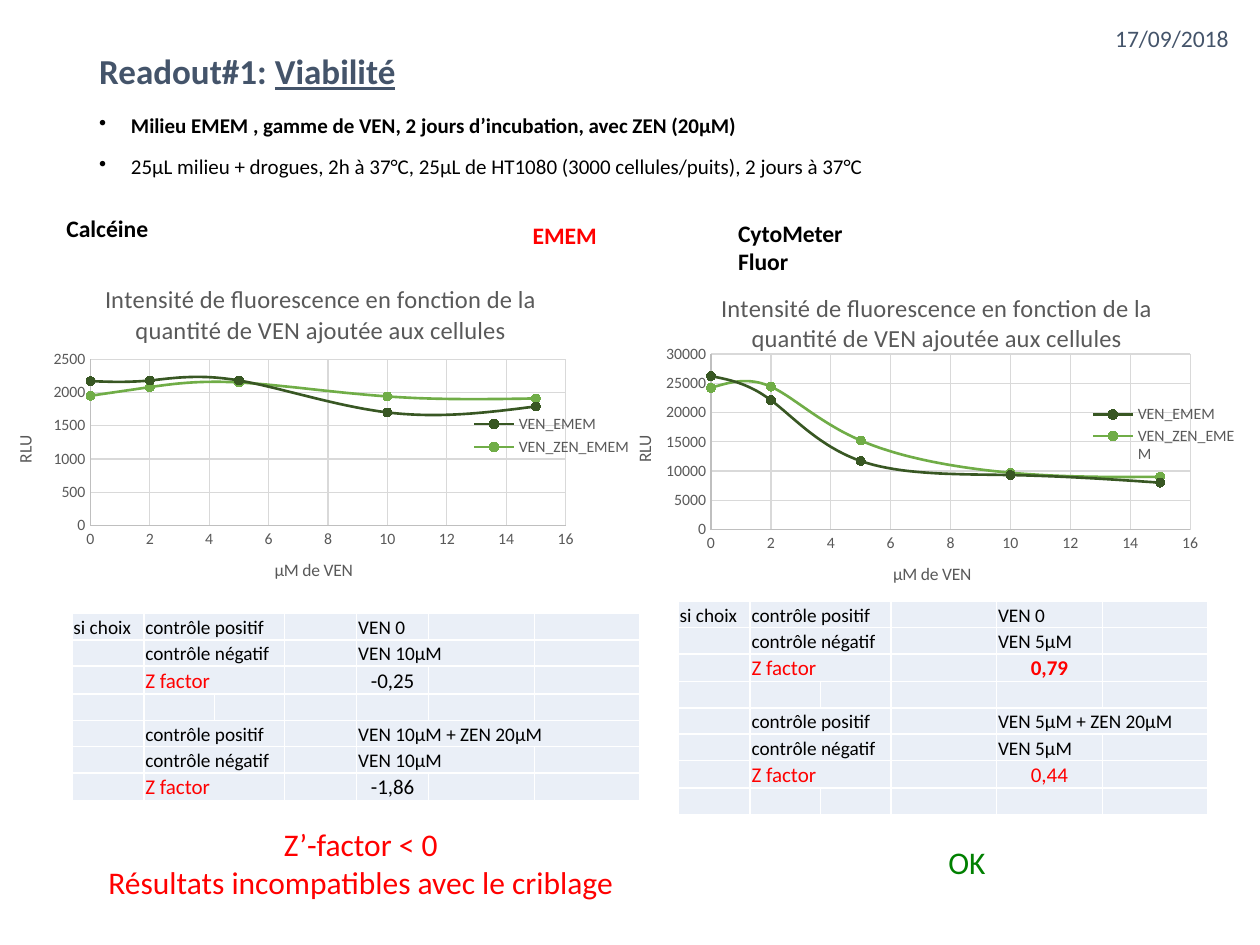
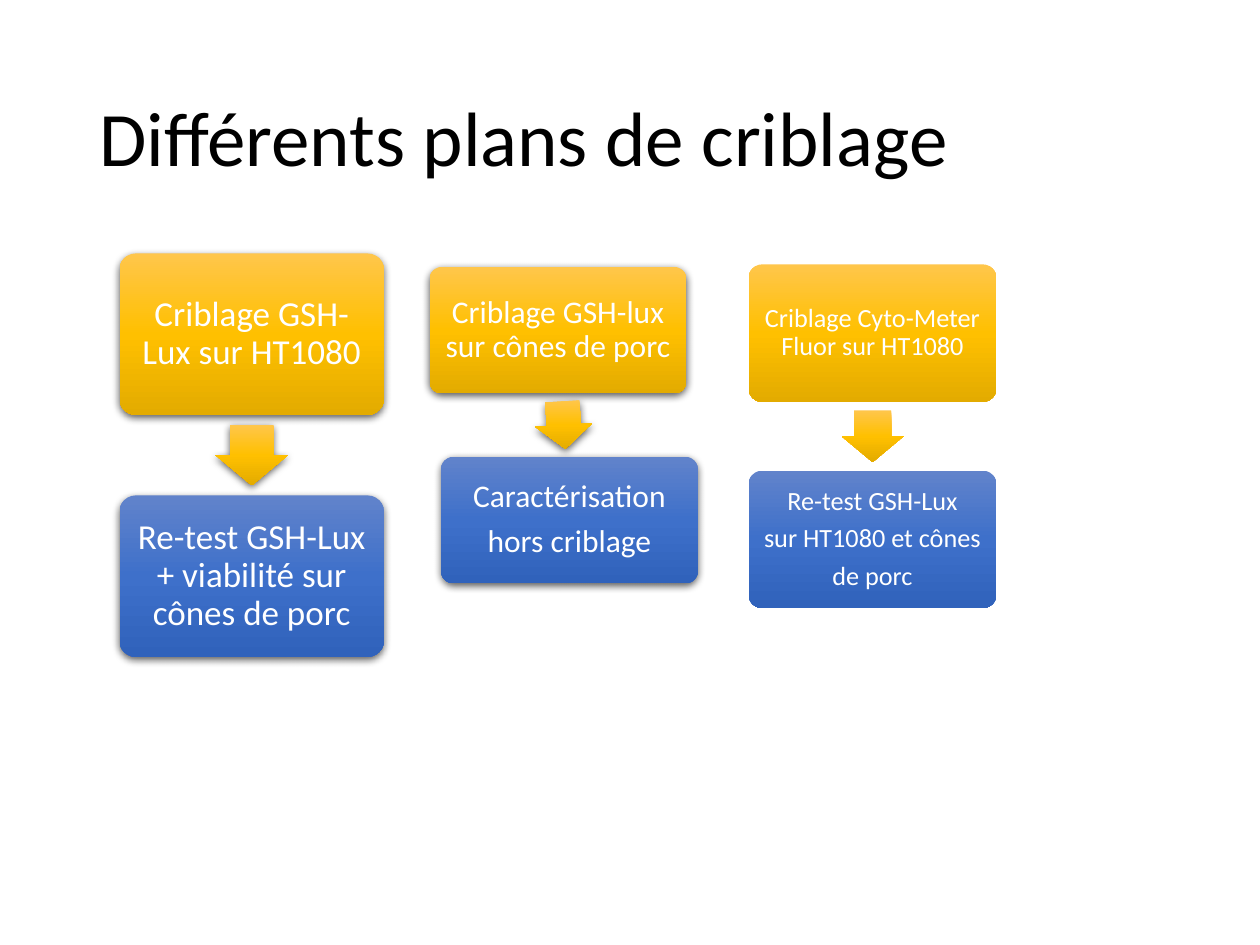
from lxml import etree
from pptx import Presentation
from pptx import util as u
from pptx.chart.data import XyChartData
from pptx.dml.color import RGBColor
from pptx.enum import chart as ch, shapes, text
from pptx.oxml.ns import qn

FONT = "Calibri"
BLACK = RGBColor(0, 0, 0)
WHITE = RGBColor(0xFF, 0xFF, 0xFF)
SLATE = RGBColor(0x44, 0x54, 0x6A)
RED = RGBColor(0xFF, 0, 0)
GREEN = RGBColor(0, 0x80, 0)
GREY = RGBColor(0x59, 0x59, 0x59)
AXIS = RGBColor(0xBF, 0xBF, 0xBF)
GRID = RGBColor(0xD9, 0xD9, 0xD9)
PALE = RGBColor(0xEA, 0xEF, 0xF7)
DARK_LEAF = RGBColor(0x38, 0x57, 0x23)
LEAF = RGBColor(0x70, 0xAD, 0x47)
GOLD = [RGBColor(0xFF, 0xC6, 0x4B), RGBColor(0xFF, 0xC0, 0), RGBColor(0xE3, 0xAB, 0)]
BLUE = [RGBColor(0x61, 0x83, 0xCB), RGBColor(0x3E, 0x70, 0xCA), RGBColor(0x30, 0x62, 0xBB)]

DOSES = [0, 2, 5, 10, 15]
CHART_TITLE = "Intensité de fluorescence en fonction de la quantité de VEN ajoutée aux cellules"
POSITIVE, NEGATIVE, Z_FACTOR = "contrôle positif", "contrôle négatif", "Z factor"


def cm(values):
    """Turn numbers into centimetre lengths."""
    return [u.Cm(v) for v in values]


def add(parent, tag, **attrs):
    """Append an XML child with the given attributes."""
    child = etree.SubElement(parent, qn(tag))
    for name, value in attrs.items():
        child.set(name, str(value))
    return child


def set_font(font, size, color, bold=False):
    """Set the shared typeface with a size, colour and weight."""
    font.name, font.size, font.bold = FONT, u.Pt(size), bold
    font.color.rgb = color


def add_label(s, box, lines, size, color, bold=False, align=None, wrap=False):
    """Place a text box with one paragraph per line."""
    tf = s.shapes.add_textbox(*cm(box)).text_frame
    tf.word_wrap = wrap
    for i, line in enumerate(lines):
        p = tf.add_paragraph() if i else tf.paragraphs[0]
        p.text, p.alignment = line, align
        set_font(p.font, size, color, bold)
    return tf


def add_title(s, box, title, size, color, bold=False, underlined=""):
    """Place a slide title whose last words may be underlined."""
    tf = add_label(s, box, [title], size, color, bold, wrap=True)
    tf.vertical_anchor = text.MSO_ANCHOR.MIDDLE
    p = tf.paragraphs[0]
    p.line_spacing = 0.9
    if underlined:
        r = p.add_run()
        r.text, r.font.underline = underlined, True


def add_bullets(s, box, items):
    """Place a bulleted list of (text, bold) items."""
    tf = s.shapes.add_textbox(*cm(box)).text_frame
    tf.word_wrap = True
    for i, (line, bold) in enumerate(items):
        p = tf.add_paragraph() if i else tf.paragraphs[0]
        p.text = line
        pPr = p._p.get_or_add_pPr()
        pPr.set("marL", str(u.Cm(0.64)))
        pPr.set("indent", str(u.Cm(-0.64)))
        add(pPr, "a:buChar", char="•")
        p.line_spacing, p.space_before = 0.9, u.Pt(10)
        set_font(p.font, 12, BLACK, bold)


def set_layout(element, index, **fractions):
    """Give a chart part a manual layout in fractions of the chart."""
    for old in element.findall(qn("c:layout")):
        element.remove(old)
    layout = etree.Element(qn("c:layout"))
    manual = add(layout, "c:manualLayout")
    if index == 0:
        add(manual, "c:layoutTarget", val="inner")
    for tag in ("xMode", "yMode"):
        add(manual, "c:" + tag, val="edge")
    for tag, value in fractions.items():
        add(manual, "c:" + tag, val=value)
    element.insert(index, layout)


def style_axis(axis, title, top, step):
    """Scale and style one chart axis."""
    axis.minimum_scale, axis.maximum_scale, axis.major_unit = 0, top, step
    axis.major_tick_mark = axis.minor_tick_mark = ch.XL_TICK_MARK.NONE
    axis.has_major_gridlines = True
    for line, color in ((axis.format.line, AXIS), (axis.major_gridlines.format.line, GRID)):
        line.color.rgb, line.width = color, u.Pt(0.75)
    set_font(axis.tick_labels.font, 9, GREY)
    axis.tick_labels.number_format = "General"
    axis.tick_labels.number_format_is_linked = False
    tf = axis.axis_title.text_frame
    tf.text = title
    set_font(tf.paragraphs[0].font, 10, GREY)


def add_dose_chart(s, box, ven, ven_zen, top, step, plot, legend):
    """Place the smooth dose-response chart of the two conditions."""
    data = XyChartData()
    for name, values in (("VEN_EMEM", ven), ("VEN_ZEN_EMEM", ven_zen)):
        series = data.add_series(name)
        for dose, value in zip(DOSES, values):
            series.add_data_point(dose, value)
    chart = s.shapes.add_chart(ch.XL_CHART_TYPE.XY_SCATTER_SMOOTH, *cm(box), data).chart
    set_font(chart.font, 10, BLACK)
    chart.has_title = True
    tf = chart.chart_title.text_frame
    tf.text = CHART_TITLE
    set_font(tf.paragraphs[0].font, 14, GREY)
    style_axis(chart.category_axis, "µM de VEN", 16, 2)
    style_axis(chart.value_axis, "RLU", top, step)
    chart.plots[0].vary_by_categories = False
    for series, color in zip(chart.plots[0].series, (DARK_LEAF, LEAF)):
        series.format.line.color.rgb, series.format.line.width = color, u.Pt(1.5)
        series.marker.style, series.marker.size = ch.XL_MARKER_STYLE.CIRCLE, 5
        series.marker.format.fill.solid()
        series.marker.format.fill.fore_color.rgb = color
        series.marker.format.line.color.rgb = color
        for smooth in series._element.findall(qn("c:smooth")):
            smooth.set("val", "1")
    chart.has_legend = True
    chart.legend.position = ch.XL_LEGEND_POSITION.RIGHT
    chart.legend.include_in_layout = False
    set_font(chart.legend.font, 9, GREY)
    space = chart._chartSpace
    set_layout(space.find(".//" + qn("c:plotArea")), 0, **dict(zip("xywh", plot)))
    set_layout(space.find(".//" + qn("c:legend")), 1, **dict(zip("xywh", legend)))


def style_cell(cell):
    """Give a table cell its fill, margins, white borders and text size."""
    cell.margin_left = cell.margin_right = cell.margin_top = u.Cm(0.03)
    cell.margin_bottom = 0
    cell.vertical_anchor = text.MSO_ANCHOR.BOTTOM
    tcPr = cell._tc.get_or_add_tcPr()
    for edge in "LRTB":
        line = add(tcPr, "a:ln" + edge, w=u.Pt(1))
        add(add(line, "a:solidFill"), "a:srgbClr", val=WHITE)
    cell.fill.solid()
    cell.fill.fore_color.rgb = PALE
    cell.text_frame.paragraphs[0]._p.get_or_add_endParaRPr().set("sz", "1100")


def write_cell(cell, words, size=11, color=BLACK, bold=False, align=None):
    """Write one styled line into a table cell."""
    p = cell.text_frame.paragraphs[0]
    p.text, p.alignment = words, align
    set_font(p.font, size, color, bold)


def add_control_table(s, box, widths, value_col, rows, z_styles):
    """Place the controls table from (label, value, value span) rows."""
    table = s.shapes.add_table(len(rows), len(widths), *cm(box)).table
    table.first_row = table.horz_banding = False
    for column, width in zip(table.columns, widths):
        column.width = u.Cm(width)
    for cell in table.iter_cells():
        style_cell(cell)
    write_cell(table.cell(0, 0), "si choix")
    z_styles = iter(z_styles)
    for i, row in enumerate(rows):
        is_z = row is not None and row[0] == Z_FACTOR
        table.rows[i].height = u.Cm(0.56 if is_z else 0.53)
        if row is None:
            continue
        label, value, span = row
        table.cell(i, 1).merge(table.cell(i, 2))
        if span > 1:
            table.cell(i, value_col).merge(table.cell(i, value_col + span - 1))
        if is_z:
            color, bold = next(z_styles)
            write_cell(table.cell(i, 1), label, 12, RED)
            write_cell(table.cell(i, value_col), value, 12, color, bold, text.PP_ALIGN.CENTER)
        else:
            write_cell(table.cell(i, 1), label)
            write_cell(table.cell(i, value_col), value)


def style_block(sp, stops, shadow):
    """Give a shape a vertical three-stop gradient and perhaps a soft shadow."""
    sp.line.fill.background()
    sp.fill.gradient()
    spPr = sp._element.spPr
    grad = spPr.find(qn("a:gradFill"))
    for child in list(grad):
        grad.remove(child)
    grad.set("rotWithShape", "0")
    gs_list = add(grad, "a:gsLst")
    for i, color in enumerate(stops):
        add(add(gs_list, "a:gs", pos=i * 50000), "a:srgbClr", val=color)
    add(grad, "a:lin", ang=5400000, scaled=0)
    sp.shadow.inherit = False
    if shadow:
        outer = add(spPr.find(qn("a:effectLst")), "a:outerShdw", blurRad=u.Pt(4.5),
                    dist=u.Pt(1.5), dir=5400000, rotWithShape=0)
        add(add(outer, "a:srgbClr", val=BLACK), "a:alpha", val=63000)


def add_card(s, box, lines, size, inset, stops, shadow):
    """Place a rounded card with centred white text."""
    sp = s.shapes.add_shape(shapes.MSO_SHAPE.ROUNDED_RECTANGLE, *cm(box))
    sp.adjustments[0] = 0.1
    style_block(sp, stops, shadow)
    tf = sp.text_frame
    tf.word_wrap, tf.vertical_anchor = True, text.MSO_ANCHOR.MIDDLE
    tf.margin_left = tf.margin_right = tf.margin_top = tf.margin_bottom = u.Cm(inset)
    for i, line in enumerate(lines):
        p = tf.add_paragraph() if i else tf.paragraphs[0]
        p.text, p.alignment = line, text.PP_ALIGN.CENTER
        p.line_spacing, p.space_after = 0.9, u.Pt(0.35 * size)
        set_font(p.font, size, WHITE)


def add_plan(s, box, first, second, size, inset, shadow=True, shift=0, angle=90):
    """Place a screening plan: two cards joined by a block arrow."""
    x, y, w, h = box
    card = 0.4 * h
    add_card(s, (x, y, w, card), first, size, inset, GOLD, shadow)
    length, breadth = 0.375 * card, 0.45 * card
    arrow_box = (x + (w + shift - length) / 2, y + (h - breadth) / 2, length, breadth)
    arrow = s.shapes.add_shape(shapes.MSO_SHAPE.RIGHT_ARROW, *cm(arrow_box))
    arrow.adjustments[0], arrow.adjustments[1] = 0.6, 0.5
    arrow.rotation = angle
    style_block(arrow, GOLD, shadow)
    add_card(s, (x + shift, y + h - card, w, card), second, size, inset, BLUE, shadow)


def viability_slide(prs):
    """Build the slide that compares the two viability readouts."""
    s = prs.slides.add_slide(prs.slide_layouts[6])
    add_title(s, (1.75, 0.2, 21.9, 2.57), "Readout#1: ", 20, SLATE, True, "Viabilité")
    add_bullets(s, (1.75, 2.21, 16.64, 9.07), [
        ("Milieu EMEM , gamme de VEN, 2 jours d’incubation, avec ZEN (20µM)", True),
        ("25µL milieu + drogues, 2h à 37°C, 25µL de HT1080 (3000 cellules/puits), 2 jours à 37°C", False)])
    add_label(s, (22.23, 0.36, 2.84, 0.84), ["17/09/2018"], 13.5, SLATE)
    add_label(s, (1.09, 4.19, 2.29, 0.84), ["Calcéine "], 13.5, BLACK, True)
    add_label(s, (10.49, 4.32, 3.68, 0.84), ["EMEM"], 13.5, RED, True, wrap=True)
    add_dose_chart(s, (0, 5.33, 12.93, 6.83), [2170, 2180, 2180, 1700, 1790],
                   [1950, 2080, 2150, 1940, 1910], 2500, 500,
                   (0.141, 0.28, 0.741, 0.491), (0.73, 0.43, 0.26, 0.15))
    add_label(s, (14.63, 4.29, 3.3, 0.84), ["CytoMeter Fluor"], 13.5, BLACK, True)
    add_dose_chart(s, (12.7, 5.51, 12.37, 6.5), [26200, 22100, 11700, 9300, 8000],
                   [24200, 24400, 15200, 9700, 9000], 30000, 5000,
                   (0.132, 0.25, 0.781, 0.545), (0.75, 0.4, 0.24, 0.2))
    add_control_table(s, (1.45, 12.37, 11.45, 3.76), [1.45, 1.42, 1.42, 1.45, 1.45, 2.13, 2.13], 4, [
        (POSITIVE, "VEN 0", 1), (NEGATIVE, "VEN 10µM", 2), (Z_FACTOR, "-0,25", 1), None,
        (POSITIVE, "VEN 10µM + ZEN 20µM", 3), (NEGATIVE, "VEN 10µM", 2), (Z_FACTOR, "-1,86", 1),
    ], [(BLACK, False), (BLACK, False)])
    add_control_table(s, (13.67, 12.12, 10.68, 4.29), [1.45, 1.42, 1.42, 2.13, 2.13, 2.13], 4, [
        (POSITIVE, "VEN 0", 1), (NEGATIVE, "VEN 5µM", 1), (Z_FACTOR, "0,79", 1), None,
        (POSITIVE, "VEN 5µM + ZEN 20µM", 2), (NEGATIVE, "VEN 5µM", 1), (Z_FACTOR, "0,44", 1), None,
    ], [(RED, True), (RED, False)])
    add_label(s, (1.85, 16.51, 10.85, 1.8), ["Z’-factor < 0", "Résultats incompatibles avec le criblage"],
              18, RED, align=text.PP_ALIGN.CENTER)
    add_label(s, (18.87, 16.87, 1.27, 1.02), ["OK"], 18, GREEN)


def plans_slide(prs):
    """Build the slide with the three screening plans."""
    s = prs.slides.add_slide(prs.slide_layouts[6])
    add_title(s, (1.75, 1.02, 21.9, 3.68), "Différents plans de criblage", 44, BLACK)
    add_plan(s, (2.41, 5.11, 5.33, 8.13), ["Criblage GSH-Lux sur HT1080"],
             ["Re-test GSH-Lux + viabilité sur cônes de porc"], 20, 0.2)
    add_plan(s, (8.66, 5.38, 5.18, 6.38), ["Criblage GSH-lux sur cônes de porc"],
             ["Caractérisation", "hors criblage"], 18, 0.18, shift=0.23, angle=86.3)
    add_plan(s, (15.09, 5.33, 5, 6.93), ["Criblage Cyto-Meter Fluor sur HT1080"],
             ["Re-test GSH-Lux", "sur HT1080 et cônes", "de porc"], 15, 0.15, shadow=False)


prs = Presentation()
prs.slide_width, prs.slide_height = cm((25.4, 19.05))
viability_slide(prs)
plans_slide(prs)
prs.save("out.pptx")
